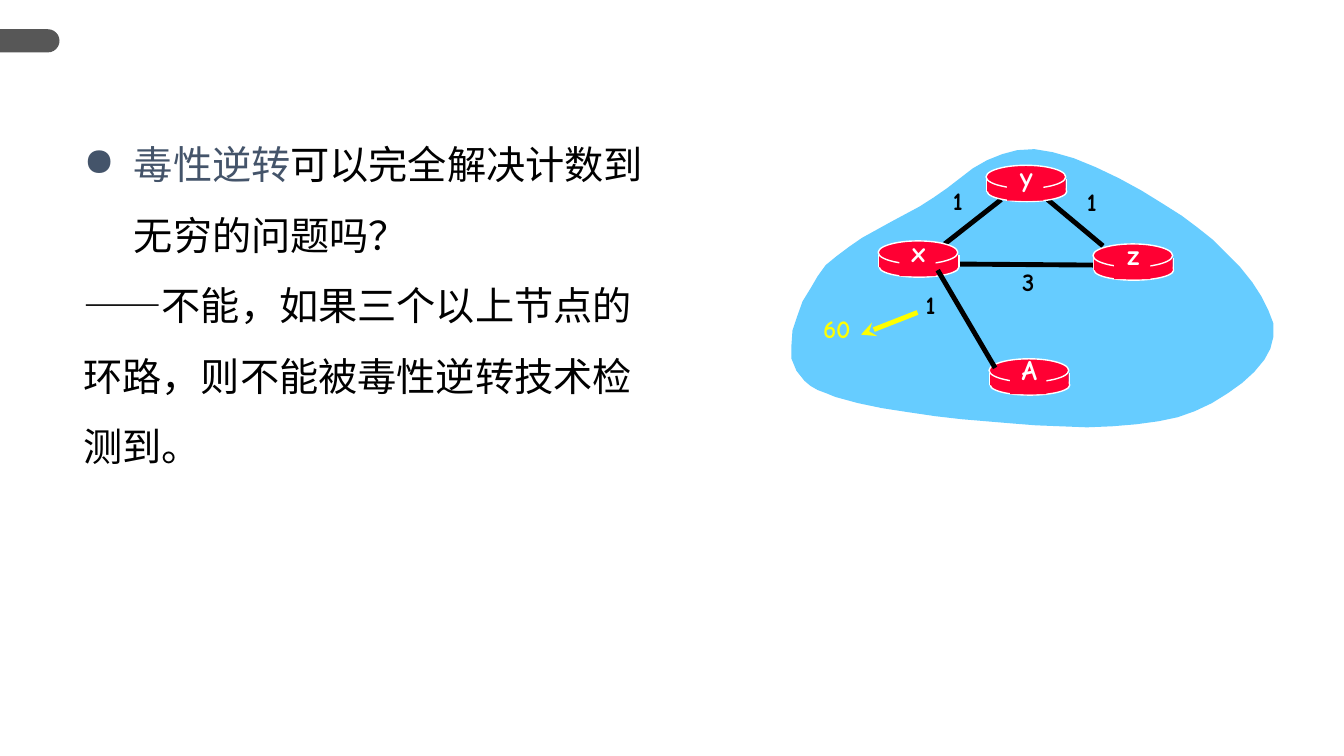
"""Build the slide on poisoned reverse with its four-router network."""
from pptx import Presentation
from pptx.dml.color import RGBColor
from pptx.enum.shapes import MSO_CONNECTOR, MSO_SHAPE
from pptx.enum.text import MSO_AUTO_SIZE, PP_ALIGN
from pptx.oxml.ns import qn
from pptx.util import Pt
from lxml.etree import SubElement

PX = 9144
BLACK = RGBColor(0x00, 0x00, 0x00)
WHITE = RGBColor(0xFF, 0xFF, 0xFF)
GREY = RGBColor(0x57, 0x57, 0x57)
SLATE = RGBColor(0x44, 0x54, 0x6A)
SKY = RGBColor(0x66, 0xCC, 0xFF)
RED = RGBColor(0xFF, 0x00, 0x33)
YELLOW = RGBColor(0xFF, 0xFF, 0x00)

prs = Presentation()
prs.slide_width, prs.slide_height = 1333 * PX, 750 * PX
s = prs.slides.add_slide(prs.slide_layouts[6])


def write(p, text, size=18, color=BLACK, font="Comic Neue", bold=True):
    r = p.add_run()
    r.text = text
    r.font.size, r.font.bold, r.font.name = Pt(size), bold, font
    r.font.color.rgb = color
    SubElement(r.font._element, qn("a:ea"), typeface=font)


def line(x1, y1, x2, y2, color=BLACK, width=3.5):
    c = s.shapes.add_connector(MSO_CONNECTOR.STRAIGHT, x1 * PX, y1 * PX, x2 * PX, y2 * PX)
    c.line.color.rgb, c.line.width = color, Pt(width)
    SubElement(c._element.spPr, qn("a:effectLst"))
    return c


tab = s.shapes.add_shape(MSO_SHAPE.ROUND_2_SAME_RECTANGLE, 18 * PX, 11 * PX, 23 * PX, 59 * PX)
tab.rotation = 90
tab.adjustments[0] = 0.5
tab.shadow.inherit = False
tab.fill.solid()
tab.fill.fore_color.rgb = GREY
tab.line.fill.background()

tf = s.shapes.add_textbox(73 * PX, 111 * PX, 601 * PX, 569 * PX).text_frame
tf.word_wrap = True
question, answer = tf.paragraphs[0], tf.add_paragraph()
pPr = question._p.get_or_add_pPr()
pPr.set("marL", str(50 * PX))
pPr.set("indent", str(-50 * PX))
SubElement(pPr, qn("a:buChar"), char="●")
for p, text, color in [
    (question, "毒性逆转", SLATE),
    (question, "可以完全解决计数到无穷的问题吗？", BLACK),
    (answer, "——不能，如果三个以上节点的环路，则不能被毒性逆转技术检测到。", BLACK),
]:
    p.line_spacing = 1.5
    write(p, text, size=28, color=color, font="Noto Sans CJK SC", bold=False)

cloud = [
    (811, 274), (819, 263), (830, 254), (842, 245), (855, 236), (884, 220), (912, 205),
    (926, 196), (939, 187), (965, 167), (979, 159), (994, 153), (1009, 149), (1026, 148),
    (1044, 151), (1065, 157), (1087, 166), (1110, 177), (1132, 189), (1153, 202),
    (1172, 214), (1188, 226), (1203, 238), (1217, 252), (1230, 265), (1242, 280),
    (1251, 294), (1258, 308), (1263, 321), (1263, 334), (1260, 346), (1254, 357),
    (1244, 369), (1232, 380), (1218, 390), (1202, 400), (1185, 408), (1168, 414),
    (1149, 418), (1127, 421), (1103, 423), (1078, 424), (1027, 422), (1002, 420),
    (978, 418), (954, 416), (928, 413), (901, 409), (875, 405), (851, 400), (829, 394),
    (819, 390), (811, 387), (804, 383), (798, 378), (790, 368), (785, 356), (785, 342),
    (786, 328), (791, 313), (796, 299), (804, 286),
]
fb = s.shapes.build_freeform(*cloud[0], scale=PX)
fb.add_line_segments(cloud[1:], close=True)
sp = fb.convert_to_shape()
sp.shadow.inherit = False
sp.fill.solid()
sp.fill.fore_color.rgb = SKY
sp.line.fill.background()

for ends in [(937, 242, 993, 198), (1039, 198, 1094, 244), (952, 262, 1088, 263)]:
    line(*ends)

labels = [(1083, 180, "1", 18, BLACK), (950, 179, "1", 18, BLACK), (1020, 259, "3", 18, BLACK),
          (830, 306, "60", 18, YELLOW), (923, 282, "1", 18, BLACK)]
parts = [
    (MSO_SHAPE.OVAL, 1, 16, 79, 20, True),
    (None, 1, 14, 0, 12, True),
    (None, 80, 14, 0, 12, True),
    (MSO_SHAPE.RECTANGLE, 1, 14, 78, 12, False),
    (MSO_SHAPE.OVAL, 0, 0, 79, 23, True),
    (MSO_SHAPE.RECTANGLE, 21, 3, 36, 32, False),
]
for name, left, top in [("x", 871, 239), ("z", 1084, 242), ("y", 978, 164), ("A", 981, 356)]:
    for kind, dx, dy, w, h, outlined in parts:
        x, y = left + dx, top + dy
        if kind is None:
            line(x, y, x + w, y + h, color=WHITE, width=1)
            continue
        sp = s.shapes.add_shape(kind, x * PX, y * PX, w * PX, h * PX)
        sp.shadow.inherit = False
        sp.fill.solid()
        sp.fill.fore_color.rgb = RED
        if outlined:
            sp.line.color.rgb, sp.line.width = WHITE, Pt(1)
        else:
            sp.line.fill.background()
    labels.append((left + 40, top - 11, name, 20, WHITE))

for center, top, text, size, color in labels:
    tf = s.shapes.add_textbox((center - 30) * PX, top * PX, 60 * PX, 56 * PX).text_frame
    tf.word_wrap = False
    tf.auto_size = MSO_AUTO_SIZE.SHAPE_TO_FIT_TEXT
    tf.paragraphs[0].alignment = PP_ALIGN.CENTER
    write(tf.paragraphs[0], text, size=size, color=color)

line(930, 268, 987, 365)
arrow = line(910, 310, 854, 332, color=YELLOW)
SubElement(arrow.line._get_or_add_ln(), qn("a:tailEnd"), type="stealth")

prs.save("out.pptx")
